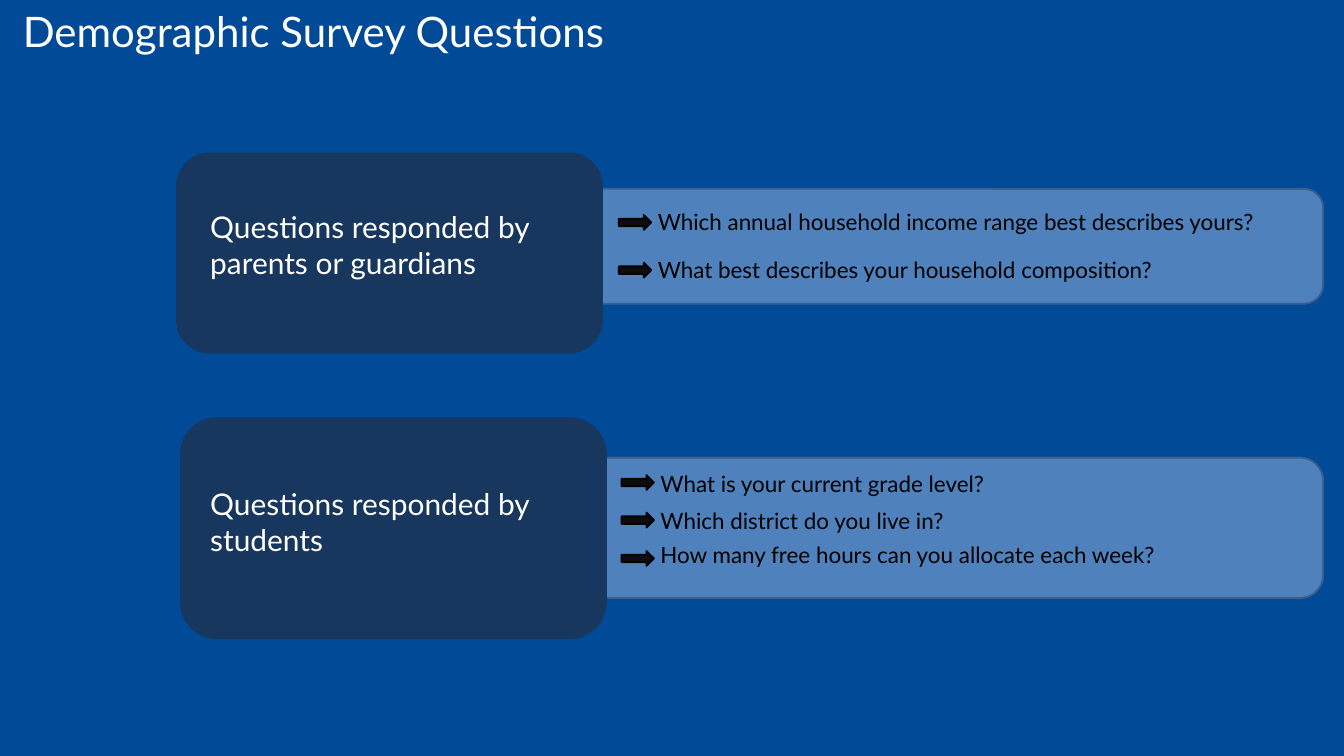
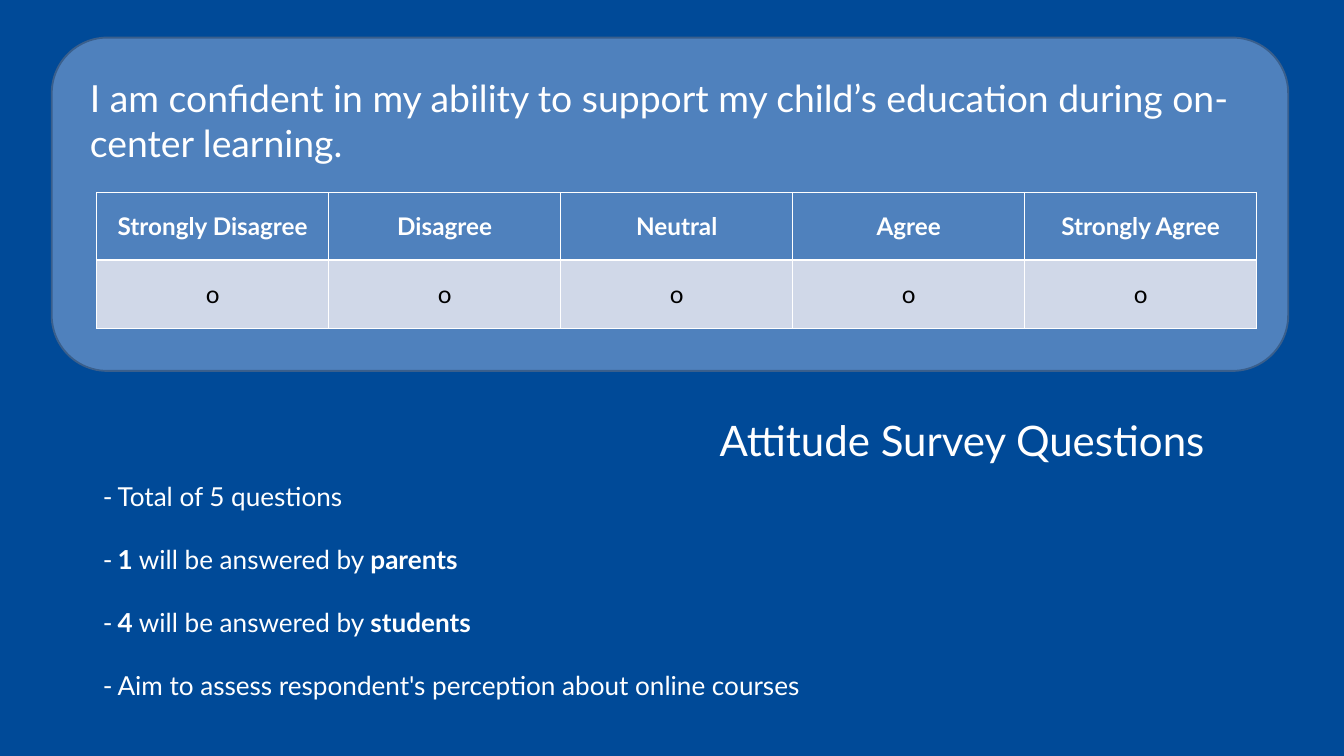
from lxml import etree
from pptx import Presentation
from pptx.dml.color import RGBColor
from pptx.enum.shapes import MSO_SHAPE
from pptx.enum.text import MSO_ANCHOR, MSO_AUTO_SIZE, PP_ALIGN
from pptx.oxml.ns import qn
from pptx.util import Inches, Pt

ROUNDED = MSO_SHAPE.ROUNDED_RECTANGLE
ARROW = MSO_SHAPE.RIGHT_ARROW
TOP, MIDDLE = MSO_ANCHOR.TOP, MSO_ANCHOR.MIDDLE
LEFT, CENTER = PP_ALIGN.LEFT, PP_ALIGN.CENTER
NO_FIT = MSO_AUTO_SIZE.NONE

FONT = "Lato"
COLORS = {
    "background": "004A98",
    "panel": "4F81BD",
    "panel_line": "3A5F8C",
    "card": "17375E",
    "arrow": "0D0D0D",
    "answer": "D0D8E8",
    "white": "FFFFFF",
    "black": "000000",
}
RGB = {name: RGBColor.from_string(value) for name, value in COLORS.items()}


def add_box(slide, kind, place, fill, line=None):
    box = slide.shapes.add_shape(kind, *map(Inches, place))
    box.shadow.inherit = False
    box.fill.solid()
    box.fill.fore_color.rgb = RGB[fill]
    if line:
        box.line.color.rgb = RGB[line]
        box.line.width = Pt(2)
    else:
        box.line.fill.background()


def write(holder, place, runs, size, color="white"):
    holder.left, holder.top, holder.width, holder.height = map(Inches, place)
    frame = holder.text_frame
    frame.word_wrap = True
    frame.auto_size = NO_FIT
    frame.vertical_anchor = TOP
    for index, parts in enumerate(runs):
        paragraph = frame.add_paragraph() if index else frame.paragraphs[0]
        paragraph.alignment = LEFT
        paragraph.space_before = Pt(34 if index else 0)
        for text, bold in parts:
            run = paragraph.add_run()
            run.text = text
            run.font.name = FONT
            run.font.size = Pt(size)
            run.font.bold = bold
            run.font.color.rgb = RGB[color]


prs = Presentation()
prs.slide_width, prs.slide_height = Inches(20), Inches(11.25)
background = prs.slide_master.background.fill
background.solid()
background.fore_color.rgb = RGB["background"]

demographic = prs.slides.add_slide(prs.slide_layouts[5])
attitude = prs.slides.add_slide(prs.slide_layouts[1])
for slide, title, place in [
    (demographic, "Demographic Survey Questions", (0.24, 0.03, 13.88, 0.86)),
    (attitude, "Attitude Survey Questions", (10.61, 6.12, 9, 0.86)),
]:
    write(slide.shapes.title, place, [[(title, False)]], 45)

respondents = [
    ("Questions responded by parents or guardians",
     (7.6, 2.81, 12.09, 1.71), (2.62, 2.27, 6.35, 2.99), 3.06, 9.69,
     [("Which annual household income range best describes yours?", 3.05, 3.2),
      ("What best describes your household composition?", 3.76, 3.91)]),
    ("Questions responded by students",
     (7.6, 6.81, 12.09, 2.09), (2.68, 6.21, 6.35, 3.3), 7.18, 9.73,
     [("What is your current grade level?", 6.95, 7.07),
      ("Which district do you live in?", 7.5, 7.63),
      ("How many free hours can you allocate each week?", 8, 8.2)]),
]
for heading, panel, card, heading_top, question_left, questions in respondents:
    add_box(demographic, ROUNDED, panel, "panel", "panel_line")
    add_box(demographic, ROUNDED, card, "card")
    write(demographic.shapes.add_textbox(0, 0, 0, 0),
          (3.03, heading_top, 5.7, 1.18), [[(heading, False)]], 32)
    for question, text_top, arrow_top in questions:
        write(demographic.shapes.add_textbox(0, 0, 0, 0),
              (question_left, text_top, 10, 0.5), [[(question, False)]], 24, "black")
        add_box(demographic, ARROW, (question_left - 0.48, arrow_top, 0.48, 0.22),
                "arrow", "black")

add_box(attitude, ROUNDED, (0.77, 0.56, 18.4, 4.96), "panel", "panel_line")
statement = ("I am confident in my ability to support my child’s education "
             "during on-center learning.")
write(attitude.shapes.add_textbox(0, 0, 0, 0), (1.24, 1.07, 17.51, 1.45),
      [[(statement, False)]], 40)

scale = ["Strongly Disagree", "Disagree", "Neutral", "Agree", "Strongly Agree"]
rating = attitude.shapes.add_table(
    2, len(scale), Inches(1.44), Inches(2.86), Inches(17.26), Inches(2.02)).table
for row, labels in enumerate([scale, ["o"] * len(scale)]):
    header = row == 0
    for column, label in enumerate(labels):
        cell = rating.cell(row, column)
        cell.vertical_anchor = MIDDLE
        properties = cell._tc.get_or_add_tcPr()
        for side in "LRTB":
            thick = side == ("B" if header else "T")
            border = etree.SubElement(properties, qn(f"a:ln{side}"),
                                      w=str(Pt(3 if thick else 1)))
            paint = etree.SubElement(border, qn("a:solidFill"))
            etree.SubElement(paint, qn("a:srgbClr"), val=COLORS["white"])
        cell.fill.solid()
        cell.fill.fore_color.rgb = RGB["panel" if header else "answer"]
        paragraph = cell.text_frame.paragraphs[0]
        paragraph.alignment = CENTER
        run = paragraph.add_run()
        run.text = label
        run.font.name = FONT
        run.font.size = Pt(26)
        run.font.bold = header
        run.font.color.rgb = RGB["white" if header else "black"]

facts = [
    [("Total of 5 questions", False)],
    [("1", True), (" will be answered by ", False), ("parents", True)],
    [("4", True), (" will be answered by ", False), ("students", True)],
    [("Aim to assess respondent's perception about online courses", False)],
]
summary = attitude.placeholders[1]
write(summary, (1.43, 7.1, 17.36, 4.01), facts, 28)
for paragraph in summary.text_frame.paragraphs:
    properties = paragraph._p.get_or_add_pPr()
    properties.set("marL", str(Inches(0.22)))
    properties.set("indent", str(-Inches(0.22)))
    etree.SubElement(properties, qn("a:buFont"), typeface=FONT)
    etree.SubElement(properties, qn("a:buChar"), char="-")

prs.save("out.pptx")
